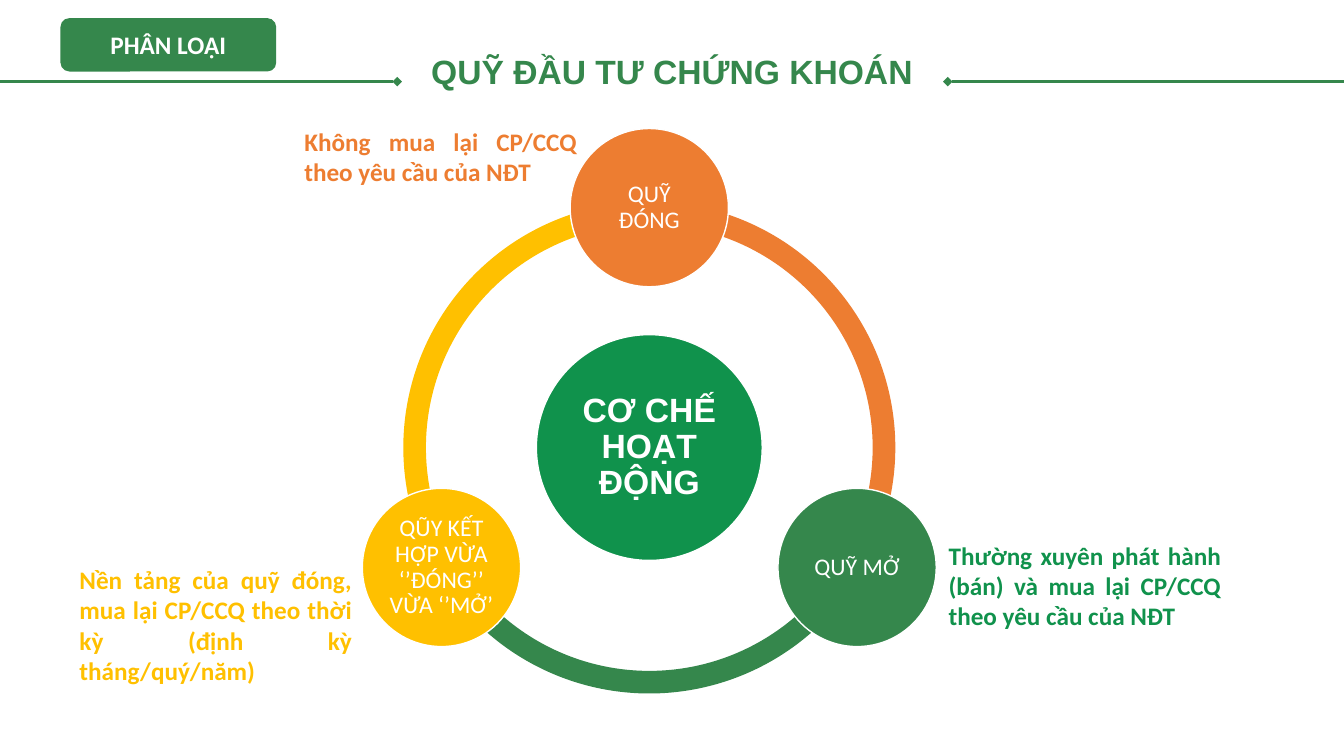
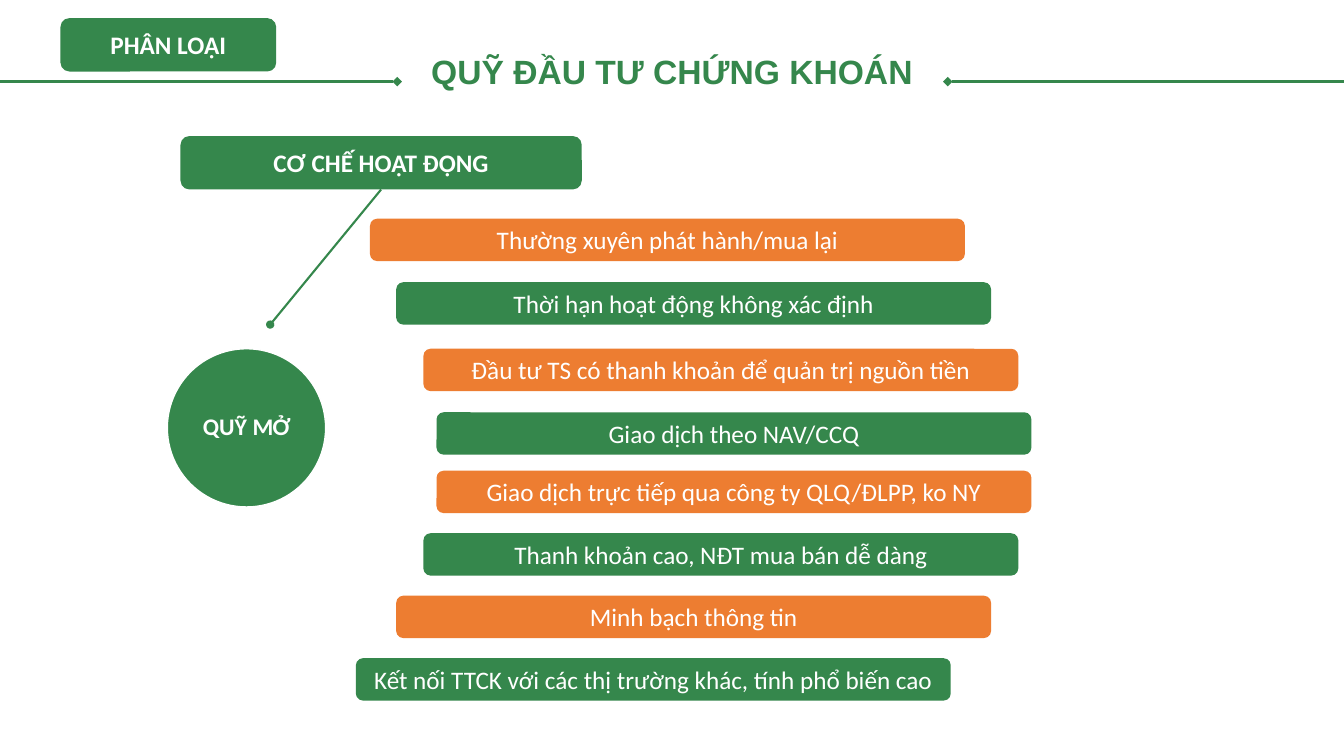
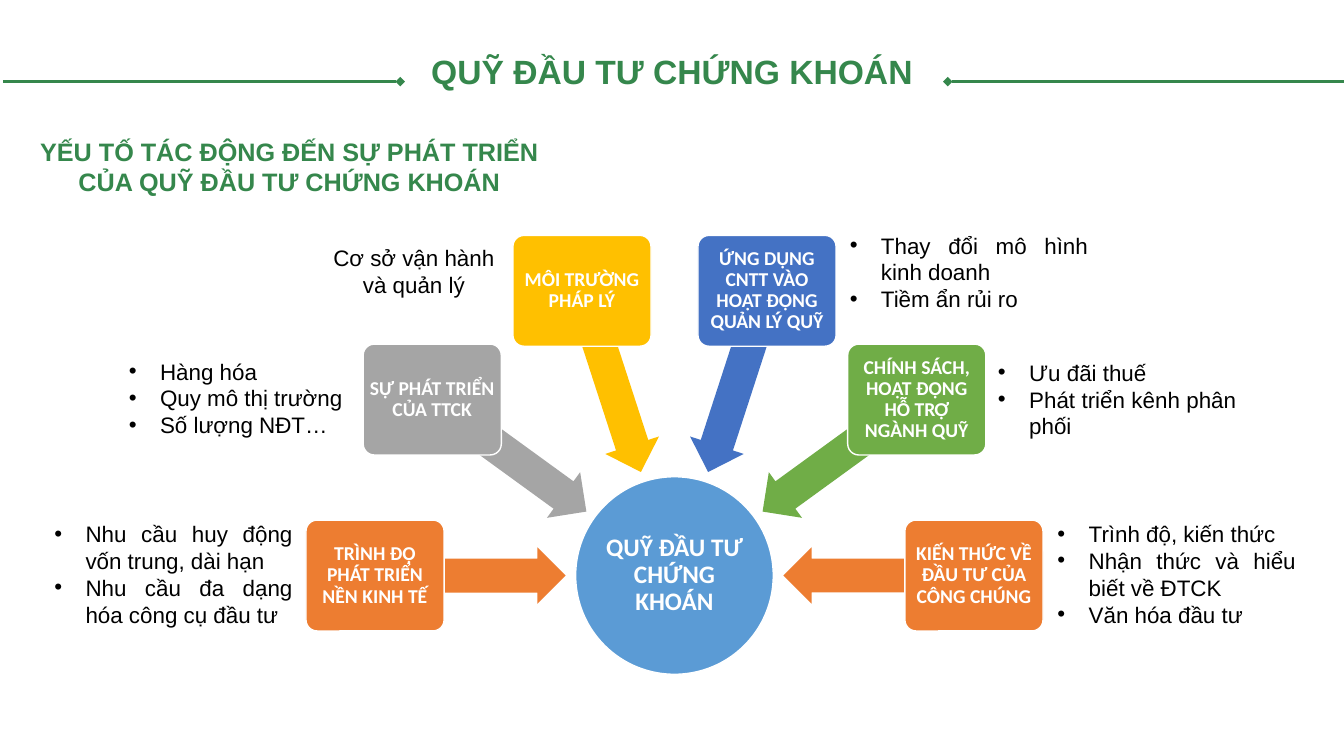
import math
from dataclasses import dataclass
from typing import NamedTuple, Optional

import pptx
import pptx.dml.color
import pptx.enum.shapes
import pptx.enum.text
import pptx.oxml
import pptx.oxml.ns
import pptx.util

RGBColor = pptx.dml.color.RGBColor
SHAPE = pptx.enum.shapes.MSO_SHAPE
ALIGN = pptx.enum.text.PP_ALIGN
Inches = pptx.util.Inches
Pt = pptx.util.Pt

# Shared colours
GREEN = RGBColor(0x35, 0x87, 0x4C)
DEEP_GREEN = RGBColor(0x10, 0x92, 0x4C)
ORANGE = RGBColor(0xED, 0x7D, 0x31)
YELLOW = RGBColor(0xFF, 0xC0, 0x00)
GRAY = RGBColor(0xA5, 0xA5, 0xA5)
BLUE = RGBColor(0x44, 0x72, 0xC4)
SKY = RGBColor(0x5B, 0x9B, 0xD5)
LEAF = RGBColor(0x70, 0xAD, 0x47)
WHITE = RGBColor(0xFF, 0xFF, 0xFF)
BLACK = RGBColor(0x00, 0x00, 0x00)

FUND_TITLE = "QUỸ ĐẦU TƯ CHỨNG KHOÁN"
MECHANISM = "CƠ CHẾ HOẠT ĐỘNG"
BULLET_INDENT = 0.31
NODE_SIZE = 1.57


class Box(NamedTuple):
    left: float
    top: float
    width: float
    height: float

    def emu(self) -> list:
        return [Inches(v) for v in self]


@dataclass(frozen=True)
class Style:
    size: float
    color: RGBColor = WHITE
    bold: bool = False
    font: str = "Calibri"
    align: ALIGN = ALIGN.CENTER
    spacing: Optional[float] = None


TITLE = Style(24, GREEN, True, "Arial", spacing=0.9)
SUBTITLE = Style(18, GREEN, True, "Arial")
LABEL = Style(18, bold=True)
BAR = Style(18)
NODE = Style(17, spacing=0.9)
NODE_BOLD = Style(17, bold=True, spacing=0.9)
CORE = Style(24, bold=True, font="Arial", spacing=0.9)
HUB = Style(18, bold=True, spacing=0.9)
FACTOR = Style(14, bold=True, spacing=0.9)
NOTE = Style(16, BLACK, font="Arial")
BULLETS = Style(16, BLACK, font="Arial", align=ALIGN.JUSTIFY)


@dataclass(frozen=True)
class FundType:
    label: str
    color: RGBColor
    angle: int
    note: str
    note_box: Box
    note_color: RGBColor


@dataclass(frozen=True)
class Bar:
    left: float
    top: float
    text: str


@dataclass(frozen=True)
class Factor:
    label: str
    color: RGBColor
    note_box: Box
    notes: tuple
    bulleted: bool = True


FUND_TYPES = [
    FundType("QUỸ ĐÓNG", ORANGE, 270, "Không mua lại CP/CCQ theo yêu cầu của NĐT",
             Box(2.92, 1.2, 2.9, 0.71), ORANGE),
    FundType("QUỸ MỞ", GREEN, 30,
             "Thường xuyên phát hành (bán) và mua lại CP/CCQ theo yêu cầu của NĐT",
             Box(9.31, 5.31, 2.9, 1.01), DEEP_GREEN),
    FundType("QŨY KẾT HỢP VỪA ‘’ĐÓNG’’ VỪA ‘’MỞ’", YELLOW, 150,
             "Nền tảng của quỹ đóng, mua lại CP/CCQ theo thời kỳ (định kỳ tháng/quý/năm)",
             Box(0.69, 5.55, 2.9, 1.31), YELLOW),
]

BARS = [
    Bar(3.67, 2.17, "Thường xuyên phát hành/mua lại"),
    Bar(3.93, 2.8, "Thời hạn hoạt động không xác định"),
    Bar(4.2, 3.46, "Đầu tư TS có thanh khoản để quản trị nguồn tiền"),
    Bar(4.33, 4.09, "Giao dịch theo NAV/CCQ"),
    Bar(4.33, 4.67, "Giao dịch trực tiếp qua công ty QLQ/ĐLPP, ko NY"),
    Bar(4.2, 5.29, "Thanh khoản cao, NĐT mua bán dễ dàng"),
    Bar(3.93, 5.91, "Minh bạch thông tin"),
    Bar(3.53, 6.53, "Kết nối TTCK với các thị trường khác, tính phổ biến cao"),
]

# Clockwise from the left of the hub
FACTORS = [
    Factor("TRÌNH ĐỘ PHÁT TRIỂN NỀN KINH TẾ", ORANGE, Box(0.44, 5.11, 2.56, 1.18),
           ("Nhu cầu huy động vốn trung, dài hạn", "Nhu cầu đa dạng hóa công cụ đầu tư")),
    Factor("SỰ PHÁT TRIỂN CỦA TTCK", GRAY, Box(1.18, 3.5, 2.56, 0.94),
           ("Hàng hóa", "Quy mô thị trường", "Số lượng NĐT…")),
    Factor("MÔI TRƯỜNG PHÁP LÝ", YELLOW, Box(3.2, 2.37, 1.81, 0.64),
           ("Cơ sở vận hành và quản lý",), bulleted=False),
    Factor("ỨNG DỤNG CNTT VÀO HOẠT ĐỘNG QUẢN LÝ QUỸ", BLUE, Box(8.33, 2.25, 2.56, 0.94),
           ("Thay đổi mô hình kinh doanh", "Tiềm ẩn rủi ro")),
    Factor("CHÍNH SÁCH, HOẠT ĐỘNG HỖ TRỢ NGÀNH QUỸ", LEAF, Box(9.8, 3.51, 2.56, 0.91),
           ("Ưu đãi thuế", "Phát triển kênh phân phối")),
    Factor("KIẾN THỨC VỀ ĐẦU TƯ CỦA CÔNG CHÚNG", ORANGE, Box(10.39, 5.11, 2.56, 1.21),
           ("Trình độ, kiến thức", "Nhận thức và hiểu biết về ĐTCK", "Văn hóa đầu tư")),
]


# Geometry
def centered(x: float, y: float, width: float, height: float) -> Box:
    return Box(x - width / 2, y - height / 2, width, height)


def on_circle(x: float, y: float, radius: float, degrees: float) -> tuple:
    a = math.radians(degrees)
    return x + radius * math.cos(a), y + radius * math.sin(a)


# Drawing helpers
def add_xml(parent, tag: str, **attrs: str) -> None:
    el = pptx.oxml.ns.qn(tag)
    child = parent.makeelement(el, attrs)
    parent.append(child)


def write(tf, lines: tuple, style: Style, inset: Optional[float] = None,
          bulleted: bool = False) -> None:
    tf.word_wrap = True
    if inset is not None:
        tf.margin_left = tf.margin_right = Inches(inset)
        tf.margin_top = tf.margin_bottom = Inches(inset)
    for i, line in enumerate(lines):
        p = tf.paragraphs[0] if i == 0 else tf.add_paragraph()
        p.text = line
        p.alignment = style.align
        if style.spacing:
            p.line_spacing = style.spacing
        if bulleted:
            pPr = p._p.get_or_add_pPr()
            pPr.set("marL", str(Inches(BULLET_INDENT)))
            pPr.set("indent", str(-Inches(BULLET_INDENT)))
            add_xml(pPr, "a:buFont", typeface="Arial")
            add_xml(pPr, "a:buChar", char="•")
        p.font.name = style.font
        p.font.size = Pt(style.size)
        p.font.bold = style.bold
        p.font.color.rgb = style.color


def text(s, box: Box, lines: tuple, style: Style, inset: Optional[float] = None,
         bulleted: bool = False) -> None:
    tf = s.shapes.add_textbox(*box.emu()).text_frame
    tf.auto_size = pptx.enum.text.MSO_AUTO_SIZE.SHAPE_TO_FIT_TEXT
    write(tf, lines, style, inset, bulleted)


def shape(s, kind: SHAPE, box: Box, fill: RGBColor, label: str = "",
          style: Style = LABEL, inset: Optional[float] = None,
          outlined: bool = False, adj: tuple = ()):
    sp = s.shapes.add_shape(kind, *box.emu())
    sp.shadow.inherit = False
    sp.fill.solid()
    sp.fill.fore_color.rgb = fill
    if outlined:
        sp.line.color.rgb = WHITE
        sp.line.width = Pt(1)
    else:
        sp.line.fill.background()
    for i, value in enumerate(adj):
        sp.adjustments[i] = value
    if label:
        sp.text_frame.vertical_anchor = pptx.enum.text.MSO_ANCHOR.MIDDLE
        write(sp.text_frame, (label,), style, inset)
    return sp


def line(s, start: tuple, end: tuple, width: float, tail: str):
    c = s.shapes.add_connector(pptx.enum.shapes.MSO_CONNECTOR.STRAIGHT,
                               *[Inches(v) for v in start + end])
    c.line.color.rgb = GREEN
    c.line.width = Pt(width)
    add_xml(c.line._get_or_add_ln(), "a:tailEnd", type=tail)
    add_xml(c._element.spPr, "a:effectLst")
    return c


def new_slide(prs, tagged: bool = True, rule_left: float = 0):
    """Blank slide with the title, its two side rules and the section tag."""
    s = prs.slides.add_slide(prs.slide_layouts[6])
    line(s, (13.33, 0.81), (9.4, 0.81), 2.25, "diamond")
    line(s, (rule_left, 0.81), (rule_left + 3.94, 0.81), 2.25, "diamond")
    text(s, Box(0.25, 0.55, 12.83, 0.36), (FUND_TITLE,), TITLE, inset=0)
    if tagged:
        shape(s, SHAPE.ROUNDED_RECTANGLE, Box(0.6, 0.18, 2.14, 0.53), GREEN, "PHÂN LOẠI")
    return s


# Slides
def fund_types(prs) -> None:
    s = new_slide(prs)
    cx, cy = 6.44, 4.44
    # Ring: each arc runs clockwise from its fund to the next
    for f in FUND_TYPES:
        ends = (f.angle, (f.angle + 120) % 360)
        shape(s, SHAPE.BLOCK_ARC, centered(cx, cy, 4.88, 4.88), f.color,
              adj=(ends[0] * 0.6, ends[1] * 0.6, 0.046))
    shape(s, SHAPE.OVAL, centered(cx, cy, 2.24, 2.24), DEEP_GREEN,
          MECHANISM, CORE, 0.03, outlined=True)
    for f in FUND_TYPES:
        x, y = on_circle(cx, cy, 2.38, f.angle)
        shape(s, SHAPE.OVAL, centered(x, y, NODE_SIZE, NODE_SIZE), f.color,
              f.label, NODE, 0.02, outlined=True)
        text(s, f.note_box, (f.note,),
             Style(18, f.note_color, True, align=ALIGN.JUSTIFY))


def open_fund(prs) -> None:
    s = new_slide(prs)
    heading = shape(s, SHAPE.ROUNDED_RECTANGLE, Box(1.79, 1.35, 3.98, 0.53),
                    GREEN, MECHANISM)
    c = line(s, (3.78, 1.88), (2.68, 3.22), 1.5, "oval")
    c.begin_connect(heading, 2)
    shape(s, SHAPE.OVAL, Box(1.66, 3.46, NODE_SIZE, NODE_SIZE), GREEN,
          "QUỸ MỞ", NODE_BOLD, 0.02, outlined=True)
    for i, bar in enumerate(BARS):
        shape(s, SHAPE.ROUNDED_RECTANGLE, Box(bar.left, bar.top, 5.9, 0.42),
              GREEN if i % 2 else ORANGE, bar.text, BAR)


def growth_factors(prs) -> None:
    s = new_slide(prs, tagged=False, rule_left=0.03)
    text(s, Box(0.28, 1.3, 5.18, 0.71),
         ("YẾU TỐ TÁC ĐỘNG ĐẾN SỰ PHÁT TRIỂN CỦA QUỸ ĐẦU TƯ CHỨNG KHOÁN",), SUBTITLE)
    cx, cy = 6.69, 5.71
    shape(s, SHAPE.OVAL, centered(cx, cy, 1.96, 1.96), SKY,
          FUND_TITLE, HUB, 0.01, outlined=True)
    # Factors fan out over the upper half, arrows pointing at the hub
    for i, f in enumerate(FACTORS):
        angle = (180 + 36 * i) % 360
        x, y = on_circle(cx, cy, 2.02, angle)
        arrow = shape(s, SHAPE.LEFT_ARROW, centered(x, y, 1.88, 0.56), f.color,
                      adj=(0.6, 0.5))
        arrow.rotation = angle
        x, y = on_circle(cx, cy, 2.97, angle)
        shape(s, SHAPE.ROUNDED_RECTANGLE, centered(x, y, 1.37, 1.1), f.color,
              f.label, FACTOR, 0.03, outlined=True, adj=(0.1,))
        text(s, f.note_box, f.notes, BULLETS if f.bulleted else NOTE,
             bulleted=f.bulleted)


def main() -> None:
    prs = pptx.Presentation()
    prs.slide_width, prs.slide_height = Inches(13.33), Inches(7.5)
    fund_types(prs)
    open_fund(prs)
    growth_factors(prs)
    prs.save("out.pptx")


if __name__ == "__main__":
    main()
